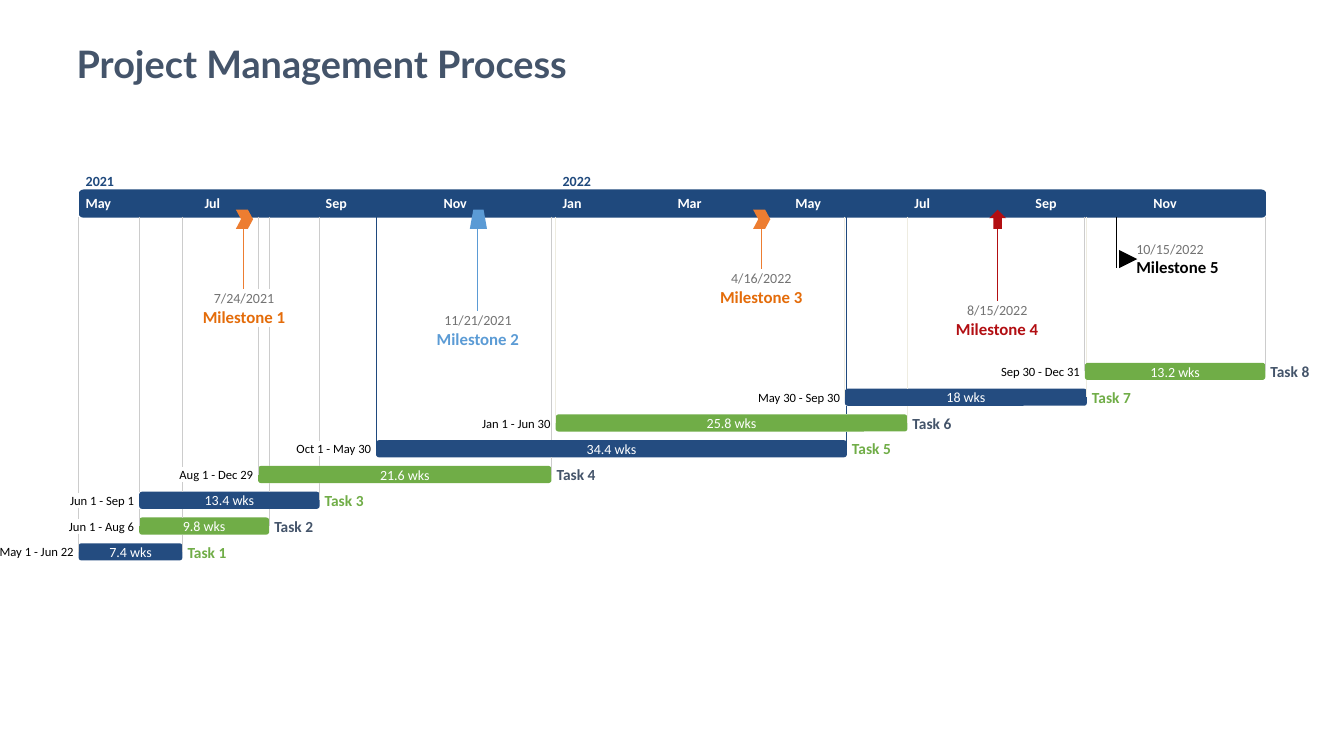
from dataclasses import dataclass
from typing import NamedTuple, Optional

from lxml.etree import SubElement
from pptx import Presentation
from pptx.dml.color import RGBColor
from pptx.enum.shapes import MSO_CONNECTOR, MSO_SHAPE as Preset
from pptx.enum.text import MSO_ANCHOR as Anchor, MSO_AUTO_SIZE as AutoSize, PP_ALIGN as Align
from pptx.oxml.ns import qn
from pptx.util import Inches, Pt


@dataclass(frozen=True)
class Theme:
    font: str = "Calibri"
    title_font: str = "Lato"
    title_size: int = 27
    milestone_size: int = 12
    task_size: int = 11
    small_size: int = 10
    range_size: int = 9
    navy: str = "1F497D"
    navy_end: str = "1F4A7F"
    bar_blue: str = "244C80"
    green: str = "70AD47"
    slate: str = "44546A"
    gray: str = "737373"
    light: str = "CCCCCC"
    cream: str = "EEECE1"
    orange: str = "ED7D31"
    dark_orange: str = "E46C0A"
    sky: str = "5B9BD5"
    red: str = "B20E12"
    black: str = "000000"
    white: str = "FFFFFF"


THEME = Theme()


class Box(NamedTuple):
    left: float
    top: float
    width: float
    height: float

    def covers(self, x: float) -> bool:
        return self.left <= x <= self.left + self.width


class Task(NamedTuple):
    name: str
    dates: str
    dates_width: float
    duration: str
    start: float
    finish: float
    guide_color: str


class Milestone(NamedTuple):
    name: str
    date: str
    x: float
    text_top: float
    icon: Preset
    color: str
    name_color: str
    rotation: int = 0


AXIS = Box(0.78, 1.88, 11.78, 0.28)
GUIDE_TOP = 2.15
FIRST_ROW, LAST_ROW = 3.6, 5.39
BAR_HEIGHT = 0.17
DATE_HEIGHT, NAME_HEIGHT, NAME_WIDTH = 0.17, 0.2, 0.82
DURATION_WIDTHS = {6: 0.39, 7: 0.43, 8: 0.5}

MONTHS = [("May", 0.85), ("Jul", 2.03), ("Sep", 3.23), ("Nov", 4.4), ("Jan", 5.58),
          ("Mar", 6.72), ("May", 7.89), ("Jul", 9.07), ("Sep", 10.27), ("Nov", 11.44)]
MONTH_WIDTHS = {"May": 0.26, "Jul": 0.16, "Sep": 0.21, "Nov": 0.24, "Jan": 0.19, "Mar": 0.24}
YEARS = [("2021", 0.85), ("2022", 5.58)]

TASKS = [
    Task("Task 8", "Sep 30 - Dec 31", 0.79, "13.2 wks", 10.76, 12.55, THEME.light),
    Task("Task 7", "May 30 - Sep 30", 0.82, "18 wks", 8.38, 10.78, THEME.cream),
    Task("Task 6", "Jan 1 - Jun 30", 0.68, "25.8 wks", 5.51, 9, THEME.cream),
    Task("Task 5", "Oct 1 - May 30", 0.75, "34.4 wks", 3.73, 8.4, THEME.navy),
    Task("Task 4", "Aug 1 - Dec 29", 0.74, "21.6 wks", 2.56, 5.47, THEME.light),
    Task("Task 3", "Jun 1 - Sep 1", 0.64, "13.4 wks", 1.38, 3.17, THEME.light),
    Task("Task 2", "Jun 1 - Aug 6", 0.65, "9.8 wks", 1.38, 2.67, THEME.light),
    Task("Task 1", "May 1 - Jun 22", 0.74, "7.4 wks", 0.78, 1.81, THEME.light),
]

MILESTONES = [
    Milestone("Milestone 1", "7/24/2021", 2.42, 2.87, Preset.CHEVRON,
              THEME.orange, THEME.dark_orange),
    Milestone("Milestone 2", "11/21/2021", 4.74, 3.09, Preset.FLOWCHART_MANUAL_OPERATION,
              THEME.sky, THEME.sky, 180),
    Milestone("Milestone 3", "4/16/2022", 7.55, 2.67, Preset.CHEVRON,
              THEME.orange, THEME.dark_orange),
    Milestone("Milestone 4", "8/15/2022", 9.89, 2.99, Preset.UP_ARROW, THEME.red, THEME.red),
]
FLAG = Milestone("Milestone 5", "10/15/2022", 11.07, 2.38, Preset.FLOWCHART_MERGE,
                 THEME.black, THEME.black, 270)


def add_text(slide, text: str, box: Box, size: int, color: str,
             bold: bool = False, align: Align = Align.LEFT):
    shape = slide.shapes.add_textbox(*map(Inches, box))
    frame = shape.text_frame
    frame.margin_left = frame.margin_right = frame.margin_top = frame.margin_bottom = 0
    frame.word_wrap = False
    frame.vertical_anchor = Anchor.MIDDLE
    paragraph = frame.paragraphs[0]
    paragraph.alignment = align
    style_run(paragraph.add_run(), text, THEME.font, size, color, bold)
    return shape


def style_run(run, text: str, font: str, size: int, color: str, bold: bool) -> None:
    run.text = text
    run.font.name = font
    run.font.size = Pt(size)
    run.font.bold = bold
    run.font.color.rgb = RGBColor.from_string(color)


def add_preset(slide, preset: Preset, box: Box, color: str, rotation: int = 0):
    shape = slide.shapes.add_shape(preset, *map(Inches, box))
    shape.shadow.inherit = False
    shape.fill.solid()
    shape.fill.fore_color.rgb = RGBColor.from_string(color)
    shape.line.fill.background()
    shape.rotation = rotation
    if preset == Preset.CHEVRON:
        shape.adjustments[0] = 0.3
    return shape


def add_vertical(slide, x: float, top: float, bottom: float, color: str,
                 target: Optional[object] = None, side: int = 0) -> None:
    """Draw a vertical line, its lower end joined to a side of target if given."""
    line = slide.shapes.add_connector(MSO_CONNECTOR.STRAIGHT, *map(Inches, (x, top, x, bottom)))
    line.line.color.rgb = RGBColor.from_string(color)
    line.line.width = Pt(0.75)
    SubElement(line._element.spPr, qn("a:effectLst"))
    if target is not None:
        line.end_connect(target, side)


def add_title(slide, text: str) -> None:
    title = slide.shapes.title
    title.left, title.top, title.width, title.height = map(Inches, (0.66, 0.51, 6.72, 0.4))
    frame = title.text_frame
    frame.auto_size = AutoSize.NONE
    frame.vertical_anchor = Anchor.BOTTOM
    paragraph = frame.paragraphs[0]
    paragraph.alignment = Align.LEFT
    paragraph.line_spacing = 0.9
    style_run(paragraph.add_run(), text, THEME.title_font, THEME.title_size, THEME.slate, True)


def add_axis(slide) -> None:
    axis = add_preset(slide, Preset.ROUNDED_RECTANGLE, AXIS, THEME.navy)
    axis.fill.gradient()
    axis.fill.gradient_angle = 270
    for stop, color in zip(axis.fill.gradient_stops, (THEME.navy, THEME.navy_end)):
        stop.color.rgb = RGBColor.from_string(color)
    for month, left in MONTHS:
        add_text(slide, month, Box(left, 1.93, MONTH_WIDTHS[month], 0.17),
                 THEME.small_size, THEME.white, True)
    for year, left in YEARS:
        add_text(slide, year, Box(left, 1.71, 0.29, 0.17), THEME.small_size, THEME.navy, True)


def add_tasks(slide) -> None:
    """Draw the task rows, then guides that break wherever they meet a bar or a label."""
    obstacles = [Box(m.x - NAME_WIDTH / 2, m.text_top, NAME_WIDTH, DATE_HEIGHT + NAME_HEIGHT)
                 for m in MILESTONES]
    guides = {}
    pitch = (LAST_ROW - FIRST_ROW) / (len(TASKS) - 1)
    for row, task in enumerate(TASKS):
        top = FIRST_ROW + row * pitch
        bar_color, name_color = ((THEME.bar_blue, THEME.green) if row % 2
                                 else (THEME.green, THEME.slate))
        bar_box = Box(task.start, top, task.finish - task.start, BAR_HEIGHT)
        bar = add_preset(slide, Preset.ROUNDED_RECTANGLE, bar_box, bar_color)
        dates_box = Box(task.start - 0.05 - task.dates_width, top + 0.01, task.dates_width, 0.15)
        add_text(slide, task.dates, dates_box, THEME.range_size, THEME.black, align=Align.RIGHT)
        add_text(slide, task.name, Box(task.finish + 0.05, top - 0.01, 0.39, 0.19),
                 THEME.task_size, name_color, True)
        width = DURATION_WIDTHS[len(task.duration)]
        add_text(slide, task.duration,
                 Box((task.start + task.finish - width) / 2, top, width, BAR_HEIGHT),
                 THEME.small_size, THEME.white, align=Align.CENTER)
        obstacles += [bar_box, dates_box]
        for x, side in ((task.start, 1), (task.finish, 3)):
            guides[x] = (top + BAR_HEIGHT / 2, bar, side, task.guide_color)

    for x, (bottom, bar, side, color) in guides.items():
        start = GUIDE_TOP
        for gap in sorted(obstacles, key=lambda box: box.top):
            if gap.covers(x) and gap.top + gap.height < bottom:
                add_vertical(slide, x, start, gap.top, color)
                start = gap.top + gap.height
        add_vertical(slide, x, start, bottom, color, bar, side)


def add_milestone_text(slide, milestone: Milestone, name_box: Box, date_left: float,
                       date_width: float, align: Align):
    add_text(slide, milestone.name, name_box, THEME.milestone_size,
             milestone.name_color, True, align)
    return add_text(slide, milestone.date,
                    Box(date_left, milestone.text_top, date_width, DATE_HEIGHT),
                    THEME.small_size, THEME.gray, align=align)


def add_milestones(slide) -> None:
    for milestone in MILESTONES:
        x, top = milestone.x, milestone.text_top
        width = 0.68 if len(milestone.date) == 10 else 0.61
        name_box = Box(x - NAME_WIDTH / 2, top + DATE_HEIGHT, NAME_WIDTH, NAME_HEIGHT)
        date = add_milestone_text(slide, milestone, name_box, x - width / 2, width, Align.CENTER)
        add_vertical(slide, x, 2.18, top, milestone.color, date)
        add_preset(slide, milestone.icon, Box(x - 0.08, 2.08, 0.17, 0.19),
                   milestone.color, milestone.rotation)

    add_vertical(slide, FLAG.x, GUIDE_TOP, 2.66, FLAG.color)
    add_preset(slide, FLAG.icon, Box(FLAG.x + 0.03, 2.48, 0.18, 0.18), FLAG.color, FLAG.rotation)
    left = FLAG.x + 0.2
    name_box = Box(left, FLAG.text_top + DATE_HEIGHT, 0.86, NAME_HEIGHT)
    add_milestone_text(slide, FLAG, name_box, left, 0.68, Align.LEFT)


def main() -> None:
    presentation = Presentation()
    presentation.slide_width, presentation.slide_height = Inches(13.33), Inches(7.5)
    slide = presentation.slides.add_slide(presentation.slide_layouts[5])
    add_title(slide, "Project Management Process")
    add_axis(slide)
    add_tasks(slide)
    add_milestones(slide)
    presentation.save("out.pptx")


if __name__ == "__main__":
    main()
